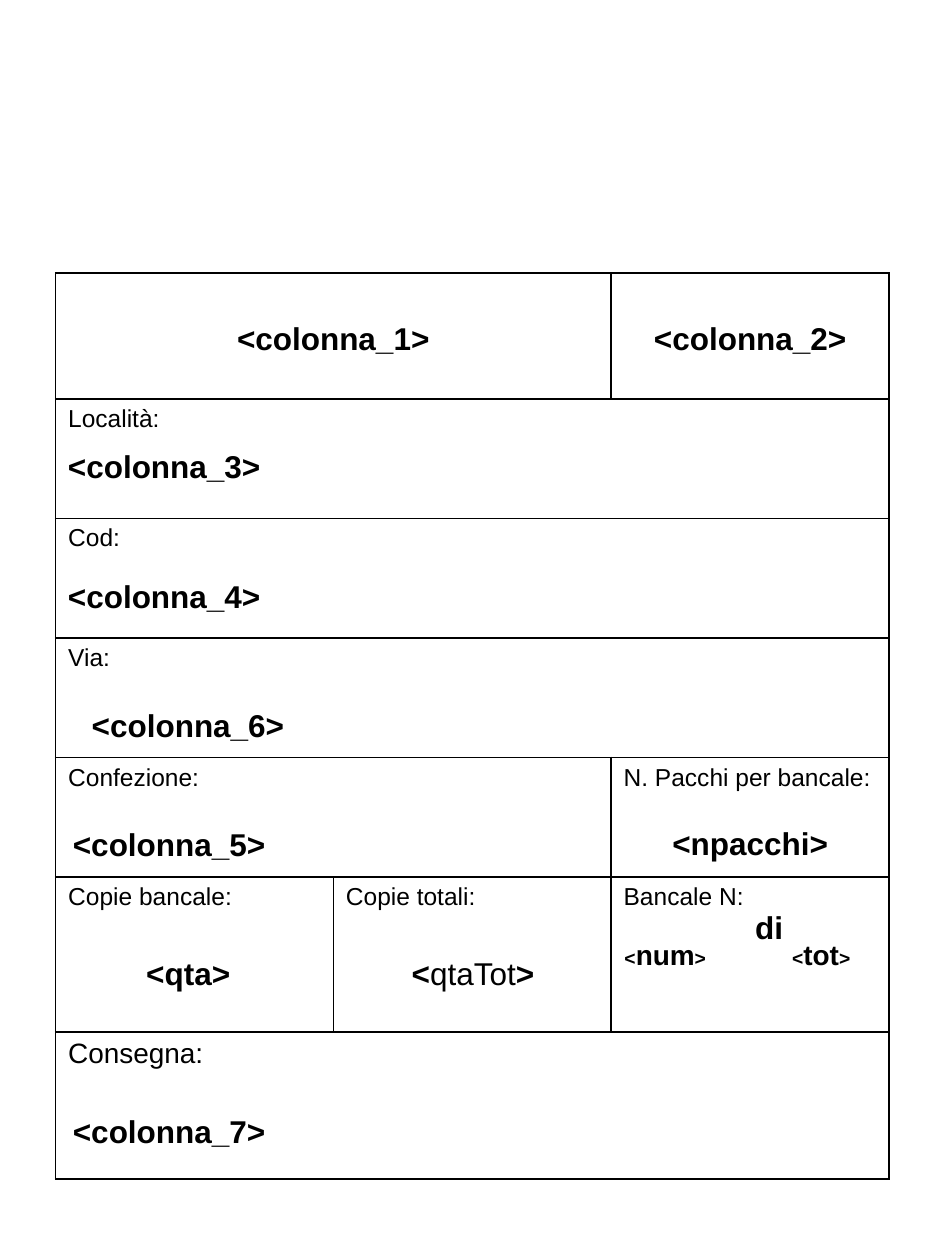
from lxml.etree import SubElement
from pptx import Presentation
from pptx.dml.color import RGBColor
from pptx.enum.text import MSO_AUTO_SIZE, PP_ALIGN
from pptx.oxml.ns import qn
from pptx.util import Cm, Pt

BLACK = "000000"
TABLE_LEFT, TABLE_TOP = 1.12, 5.5
COLUMN_WIDTHS = [5.6] * 3
ROW_HEIGHTS = [2.54] + [2.41] * 4 + [3.12, 2.97]
MERGES = [(0, 0, 1), (1, 0, 2), (2, 0, 2), (3, 0, 2), (4, 0, 1), (6, 0, 2)]
LABELS = [
    (1, 0, "Località:", 14),
    (2, 0, "Cod:", 14),
    (3, 0, "Via:", 14),
    (4, 0, "Confezione:", 14),
    (4, 2, "N. Pacchi per bancale:", 14),
    (5, 0, "Copie bancale:", 14),
    (5, 1, "Copie totali:", 14),
    (5, 2, "Bancale N:", 14),
    (6, 0, "Consegna:", 16),
]
FIELDS = [
    ("colonna_1", 1.12, 6.3, 11.2, True),
    ("colonna_2", 12.52, 6.3, 5.21, True),
    ("colonna_3", 1.12, 8.89, 11.2, False),
    ("colonna_4", 1.12, 11.51, 16.79, False),
    ("colonna_6", 1.6, 14.1, 15.32, False),
    ("colonna_5", 1.22, 16.51, 11.2, False),
    ("npacchi", 12.52, 16.48, 5.21, True),
    ("qta", 1.19, 19.1, 5.21, True),
    ("colonna_7", 1.22, 22.3, 15.93, False),
]
COUNTERS = [("num", 12.34, 2.39), ("tot", 15.72, 1.8)]


def color(hex_code):
    """Turn a hex string into a colour."""
    return RGBColor.from_string(hex_code)


def write(paragraph, text, size=18, bold=True, hex_code=BLACK):
    """Append formatted text to a paragraph."""
    run = paragraph.add_run()
    run.text = text
    run.font.name = "Arial"
    run.font.size = Pt(size)
    run.font.bold = bold
    run.font.color.rgb = color(hex_code)


def add_borders(cell, hex_code=BLACK):
    """Draw a thin line on all four sides of a cell."""
    properties = cell._tc.get_or_add_tcPr()
    for side in ("a:lnL", "a:lnR", "a:lnT", "a:lnB"):
        line = SubElement(properties, qn(side), w=str(Pt(1)))
        fill = SubElement(line, qn("a:solidFill"))
        SubElement(fill, qn("a:srgbClr"), val=hex_code)
    cell.fill.background()


def add_label_grid(slide):
    """Add the bordered table with its merged cells and labels."""
    grid = slide.shapes.add_table(
        len(ROW_HEIGHTS), len(COLUMN_WIDTHS), Cm(TABLE_LEFT), Cm(TABLE_TOP),
        Cm(sum(COLUMN_WIDTHS)), Cm(sum(ROW_HEIGHTS))).table
    grid.first_row = grid.horz_banding = False
    for column, width in zip(grid.columns, COLUMN_WIDTHS):
        column.width = Cm(width)
    for row, height in zip(grid.rows, ROW_HEIGHTS):
        row.height = Cm(height)
    for cell in grid.iter_cells():
        add_borders(cell)
    for row, first, last in MERGES:
        grid.cell(row, first).merge(grid.cell(row, last))
    for row, column, label, size in LABELS:
        write(grid.cell(row, column).text_frame.paragraphs[0], label,
              size=size, bold=False)
    separator = grid.cell(5, 2).text_frame.add_paragraph()
    separator._p.get_or_add_pPr().set("marL", str(Cm(2.65)))
    write(separator, "di")


def add_field(slide, name, left, top, width, centered=False,
              name_size=18, bracket_size=18, name_bold=True):
    """Add a field name between angle brackets."""
    field = slide.shapes.add_textbox(Cm(left), Cm(top), Cm(width), Cm(1.02))
    frame = field.text_frame
    frame.word_wrap = True
    frame.auto_size = MSO_AUTO_SIZE.SHAPE_TO_FIT_TEXT
    paragraph = frame.paragraphs[0]
    paragraph.alignment = PP_ALIGN.CENTER if centered else PP_ALIGN.LEFT
    write(paragraph, "<", size=bracket_size)
    write(paragraph, name, size=name_size, bold=name_bold)
    write(paragraph, ">", size=bracket_size)


def main():
    """Build the pallet label."""
    presentation = Presentation()
    presentation.slide_width, presentation.slide_height = Cm(19.05), Cm(25.4)
    slide = presentation.slides.add_slide(presentation.slide_layouts[6])
    add_label_grid(slide)
    for name, left, top, width, centered in FIELDS:
        add_field(slide, name, left, top, width, centered)
    add_field(slide, "qtaTot", 6.93, 19.1, 5.21, centered=True, name_bold=False)
    for name, left, width in COUNTERS:
        add_field(slide, name, left, 18.77, width, name_size=16, bracket_size=11)
    presentation.save("out.pptx")


if __name__ == "__main__":
    main()
